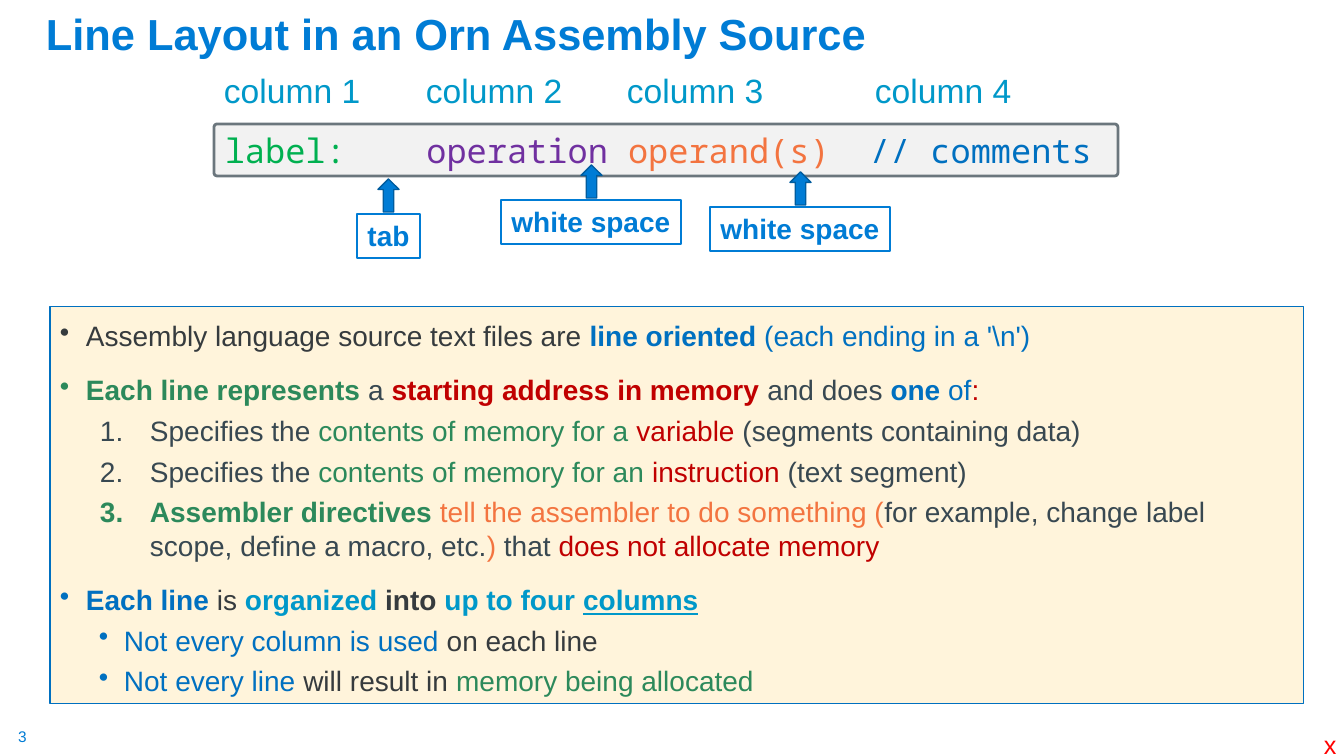
from dataclasses import dataclass

from lxml import etree
from pptx import Presentation
from pptx.dml.color import RGBColor
from pptx.enum.shapes import MSO_SHAPE
from pptx.enum.text import MSO_ANCHOR, PP_ALIGN
from pptx.oxml.ns import qn
from pptx.util import Pt

RECT, ROUND_RECT, UP_ARROW = MSO_SHAPE.RECTANGLE, MSO_SHAPE.ROUNDED_RECTANGLE, MSO_SHAPE.UP_ARROW
TOP, BOTTOM = MSO_ANCHOR.TOP, MSO_ANCHOR.BOTTOM
LEFT, CENTER = PP_ALIGN.LEFT, PP_ALIGN.CENTER
PX = 12192000 / 1344  # EMU in one px of a 1344 x 756 page


@dataclass(frozen=True)
class Theme:
    font: str = "Arial"
    mono: str = "Noto Sans Mono"
    title_size: int = 31
    code_size: int = 24
    body_size: int = 20
    mark_size: int = 18
    number_size: int = 11
    azure: str = "007CD5"
    navy: str = "005C9E"
    blue: str = "0070C0"
    cyan: str = "0098C9"
    green: str = "2C895B"
    lime: str = "00B050"
    orange: str = "F37440"
    purple: str = "7030A0"
    crimson: str = "C00000"
    red: str = "FF0000"
    slate: str = "384851"
    ink: str = "363B3E"
    grey: str = "6B767D"
    pale: str = "F2F2F2"
    cream: str = "FFF4DB"


theme = Theme()
deck = Presentation()
deck.slide_width, deck.slide_height = round(1344 * PX), round(756 * PX)
page = deck.slides.add_slide(deck.slide_layouts[6])


def add_box(kind, left, top, width, height, fill=None, line=None, weight=1):
    """Add a shape placed in px, with top-left text that wraps."""
    place = [round(length * PX) for length in (left, top, width, height)]
    box = page.shapes.add_shape(kind, *place) if kind else page.shapes.add_textbox(*place)
    if kind:
        box.shadow.inherit = False
        if fill:
            box.fill.solid()
            box.fill.fore_color.rgb = RGBColor.from_string(fill)
        else:
            box.fill.background()
        box.line.color.rgb = RGBColor.from_string(line)
        box.line.width = Pt(weight)
    box.text_frame.word_wrap = True
    box.text_frame.vertical_anchor = TOP
    return box


def write(para, spans, size, font=theme.font, align=LEFT):
    """Fill a paragraph with (text, colour, style) spans; style holds b and u."""
    para.alignment = align
    for text, colour, style in spans:
        span = para.add_run()
        span.text = text
        span.font.name = font
        span.font.size = Pt(size)
        span.font.color.rgb = RGBColor.from_string(colour)
        span.font.bold = "b" in style
        span.font.underline = "u" in style


# Page number and title
number = add_box(None, 18, 727, 19, 19).text_frame
number.margin_left = number.margin_right = number.margin_top = number.margin_bottom = 0
write(number.paragraphs[0], [("3", theme.azure, "")], theme.number_size)

title = add_box(None, 36, 17, 1285, 48).text_frame
title.vertical_anchor = BOTTOM
title.paragraphs[0].line_spacing = 0.9
write(title.paragraphs[0], [("Line Layout in an Orn Assembly Source", theme.azure, "b")],
      theme.title_size)

# Explanation panel: (kind of item, spans)
ITEMS = [
    ("main", [("Assembly language source text files are ", theme.ink, ""),
              ("line oriented", theme.blue, "b"),
              (" (each ending in a '\\n')", theme.blue, "")]),
    ("main", [("Each line represents ", theme.green, "b"),
              ("a ", theme.slate, ""),
              ("starting address in memory ", theme.crimson, "b"),
              ("and does ", theme.slate, ""),
              ("one", theme.blue, "b"),
              (" of", theme.blue, ""),
              (":", theme.crimson, "")]),
    ("step", [("Specifies the ", theme.slate, ""),
              ("contents of memory for a ", theme.green, ""),
              ("variable ", theme.crimson, ""),
              ("(segments containing data)", theme.slate, "")]),
    ("step", [("Specifies the ", theme.slate, ""),
              ("contents of memory for an ", theme.green, ""),
              ("instruction ", theme.crimson, ""),
              ("(text segment)", theme.slate, "")]),
    ("step", [("Assembler directives ", theme.green, "b"),
              ("tell the assembler to do something (", theme.orange, ""),
              ("for example, change label scope, define a macro, etc.", theme.slate, ""),
              (") ", theme.orange, ""),
              ("that ", theme.slate, ""),
              ("does not allocate memory", theme.crimson, "")]),
    ("main", [("Each line ", theme.blue, "b"),
              ("is ", theme.ink, ""),
              ("organized ", theme.cyan, "b"),
              ("into", theme.ink, "b"),
              (" up to four ", theme.cyan, "b"),
              ("columns", theme.cyan, "bu")]),
    ("sub", [("Not every column is used ", theme.blue, ""),
             ("on each line", theme.ink, "")]),
    ("sub", [("Not every line ", theme.blue, ""),
             ("will result in ", theme.ink, ""),
             ("memory being allocated", theme.green, "")]),
]
# Level, left margin px, hanging px, line spacing, space before, bullet tag and its attribute
ITEM_FORMATS = {
    "main": (0, 26, 26, 1.2, 10, "a:buChar", ("char", "•")),
    "step": (1, 90, 50, 1.0, 5, "a:buAutoNum", ("type", "arabicPeriod")),
    "sub": (1, 64, 25, 1.0, 5, "a:buChar", ("char", "•")),
}
panel = add_box(RECT, 50, 307, 1254, 397, theme.cream, theme.blue, 0.75).text_frame
for index, (kind, spans) in enumerate(ITEMS):
    level, margin, hanging, spacing, before, tag, (key, value) = ITEM_FORMATS[kind]
    para = panel.add_paragraph() if index else panel.paragraphs[0]
    para.level = level
    para.line_spacing = spacing
    para.space_before = Pt(before if index else 0)
    settings = para._p.get_or_add_pPr()
    settings.set("marL", str(round(margin * PX)))
    settings.set("indent", str(round(-hanging * PX)))
    etree.SubElement(settings, qn(tag)).set(key, value)
    write(para, spans, theme.body_size)

# Sample source line
sample = add_box(ROUND_RECT, 214, 124, 904, 52, theme.pale, theme.grey, 2)
sample.adjustments[0] = 0.06
write(sample.text_frame.paragraphs[0],
      [("label:    ", theme.lime, ""), ("operation ", theme.purple, ""),
       ("operand(s)  ", theme.orange, ""), ("// comments", theme.blue, "")],
      theme.code_size, theme.mono)

# Separator labels, each with an arrow centred above it
for text, left, top, width in [("tab", 357, 214, 63),
                               ("white space", 501, 200, 180),
                               ("white space", 710, 207, 180)]:
    label = add_box(RECT, left, top, width, 44, None, theme.azure, 2).text_frame
    label.margin_left = label.margin_right = 0
    write(label.paragraphs[0], [(text, theme.azure, "b")], theme.body_size, align=CENTER)
    add_box(UP_ARROW, left + width // 2 - 10, top - 35, 21, 33, theme.azure, theme.navy)

# Corner mark
mark = add_box(None, 1314, 724, 33, 40).text_frame
write(mark.paragraphs[0], [("x", theme.red, "")], theme.mark_size)

# Column headings on tab stops
headings = add_box(None, 214, 65, 815, 50).text_frame.paragraphs[0]
tab_list = etree.SubElement(headings._p.get_or_add_pPr(), qn("a:tabLst"))
for stop in (202, 403, 651):
    tab = etree.SubElement(tab_list, qn("a:tab"))
    tab.set("pos", str(round(stop * PX)))
    tab.set("algn", "l")
write(headings, [("column 1\tcolumn 2\tcolumn 3\tcolumn 4", theme.cyan, "")], theme.code_size)

deck.save("out.pptx")
